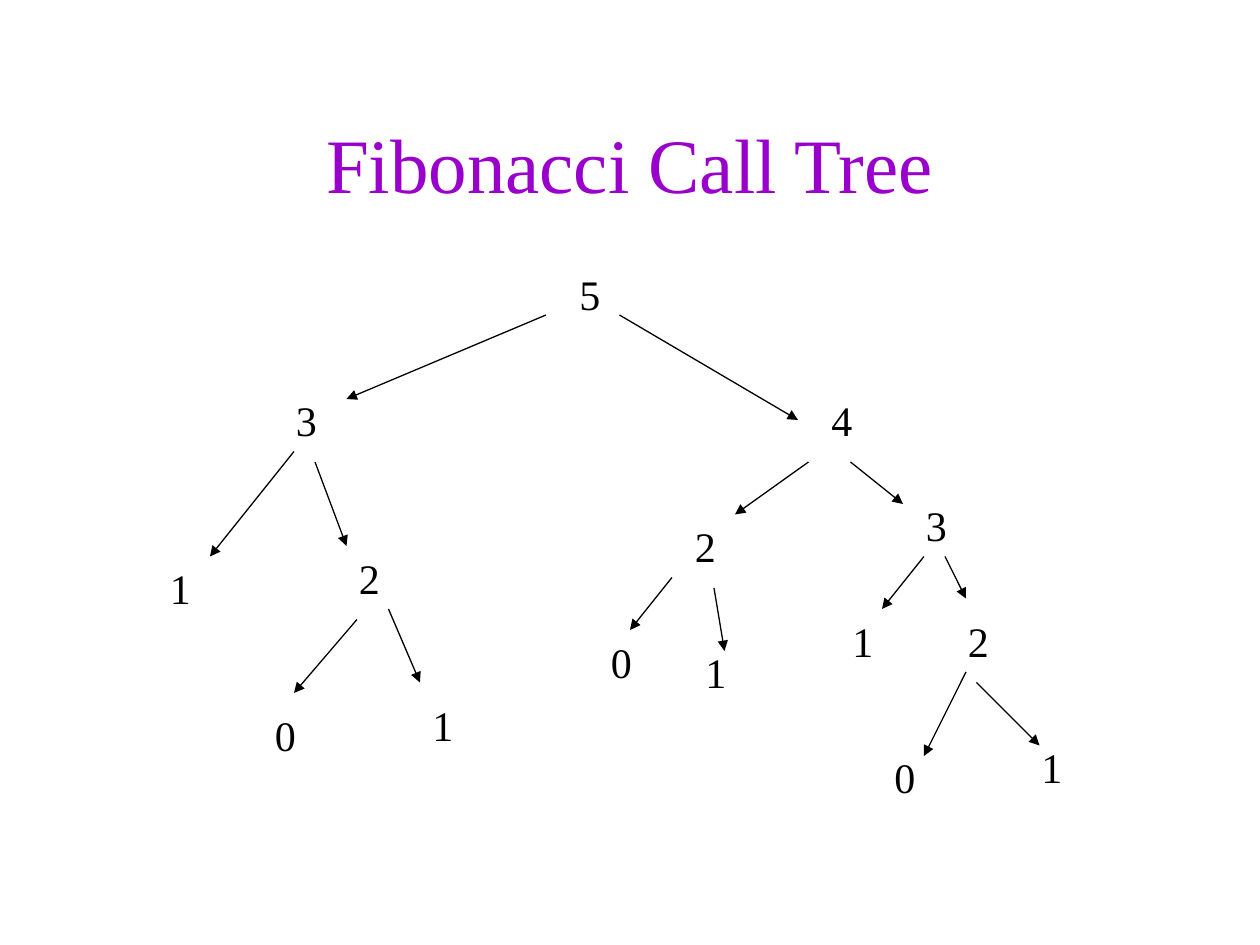
from lxml.etree import SubElement
from pptx import Presentation
from pptx.dml.color import RGBColor
from pptx.enum.shapes import MSO_CONNECTOR as CONN
from pptx.enum.text import MSO_ANCHOR as ANCHOR, PP_ALIGN as ALIGN
from pptx.oxml.ns import qn
from pptx.util import Pt

COLORS = {"title": "9900CC", "ink": "000000"}
FONT = "Times New Roman"
NODE_SIZE = 36

NODES = [
    ("5", 324, 150),
    ("3", 162, 222), ("1", 90, 318), ("2", 198, 312),
    ("0", 150, 402), ("1", 240, 396),
    ("4", 468, 222), ("2", 390, 294), ("0", 342, 360), ("1", 396, 366),
    ("3", 522, 282), ("1", 480, 348), ("2", 546, 348),
    ("0", 504, 426), ("1", 588, 420),
]

CALLS = [
    (312, 180, 198, 228), (168, 258, 120, 318), (180, 264, 198, 312),
    (204, 354, 168, 396), (222, 348, 240, 390),
    (354, 180, 456, 240), (462, 264, 420, 294), (486, 264, 516, 288),
    (384, 330, 360, 360), (408, 336, 414, 372),
    (528, 318, 504, 348), (540, 318, 552, 342),
    (552, 384, 528, 432), (558, 390, 594, 426),
]


def add_text(s, text, x, y, w, h, size=24, color="ink",
             align=ALIGN.LEFT, anchor=ANCHOR.TOP):
    sp = s.shapes.add_textbox(Pt(x), Pt(y), Pt(w), Pt(h))
    tf = sp.text_frame
    tf.word_wrap = True
    tf.vertical_anchor = anchor
    p = tf.paragraphs[0]
    p.alignment = align
    r = p.add_run()
    r.text = text
    r.font.name = FONT
    r.font.size = Pt(size)
    r.font.color.rgb = RGBColor.from_string(COLORS[color])


def add_arrow(s, x1, y1, x2, y2):
    c = s.shapes.add_connector(CONN.STRAIGHT, Pt(x1), Pt(y1), Pt(x2), Pt(y2))
    c.line.width = Pt(0.75)
    c.line.color.rgb = RGBColor.from_string(COLORS["ink"])
    SubElement(c.line._get_or_add_ln(), qn("a:tailEnd"), type="triangle")
    SubElement(c._element.spPr, qn("a:effectLst"))


def main():
    prs = Presentation()
    prs.slide_width, prs.slide_height = Pt(720), Pt(540)
    s = prs.slides.add_slide(prs.slide_layouts[6])
    add_text(s, "Fibonacci Call Tree", 54, 48, 612, 90, size=44,
             color="title", align=ALIGN.CENTER, anchor=ANCHOR.MIDDLE)
    for value, x, y in NODES:
        add_text(s, value, x, y, NODE_SIZE, NODE_SIZE)
    for ends in CALLS:
        add_arrow(s, *ends)
    prs.save("out.pptx")


if __name__ == "__main__":
    main()
